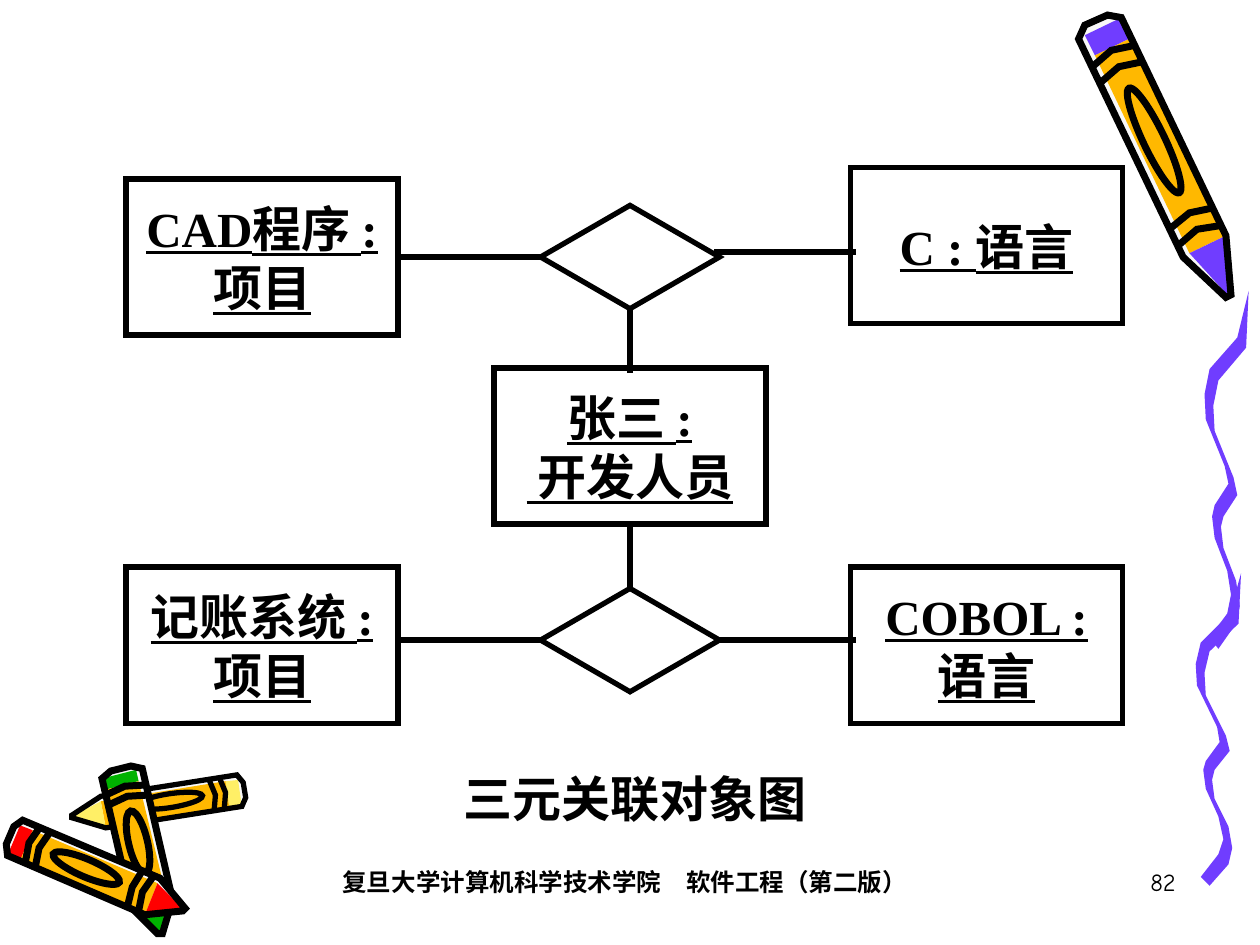
from dataclasses import dataclass
from math import atan2, cos, degrees, hypot, sin

from lxml import etree
from pptx import Presentation
from pptx.dml.color import RGBColor
from pptx.enum.shapes import MSO_CONNECTOR, MSO_SHAPE
from pptx.enum.text import MSO_ANCHOR, PP_ALIGN
from pptx.oxml.ns import qn
from pptx.util import Pt

RECT, OVAL = MSO_SHAPE.RECTANGLE, MSO_SHAPE.OVAL
DIAMOND = MSO_SHAPE.FLOWCHART_DECISION
STRAIGHT = MSO_CONNECTOR.STRAIGHT
CENTER, RIGHT_ALIGN = PP_ALIGN.CENTER, PP_ALIGN.RIGHT
ANCHOR_TOP, ANCHOR_MIDDLE = MSO_ANCHOR.TOP, MSO_ANCHOR.MIDDLE
EMU_PER_PX = 9144
BLANK = 6
TOP, LEFT, BOTTOM, RIGHT = range(4)


@dataclass(frozen=True)
class Theme:
    black: str = "000000"
    purple: str = "703DFF"
    orange: str = "FFB800"
    yellow: str = "FFEF66"
    red: str = "FF0000"
    green: str = "00B200"
    paper: str = "F8F8F8"
    body_font: str = "Times New Roman"
    footer_font: str = "Comic Neue"
    body_size: int = 28
    footer_size: int = 14
    line_width: int = 3


THEME = Theme()


@dataclass(frozen=True)
class Crayon:
    color: str
    end: tuple
    tip: tuple
    width: int
    lit_side: int
    pen: float

    def at(self, along, across):
        dx, dy = self.tip[0] - self.end[0], self.tip[1] - self.end[1]
        offset = across * self.width / 2 / hypot(dx, dy)
        return (round(self.end[0] + along * dx - offset * dy),
                round(self.end[1] + along * dy + offset * dx))

    def trace(self, points):
        return [self.at(*point) for point in points]


CRAYONS = [
    Crayon(THEME.yellow, (194, 627), (57, 648), 25, 1, 3),
    Crayon(THEME.green, (96, 610), (127, 741), 33, -1, 4),
    Crayon(THEME.red, (8, 663), (146, 722), 31, -1, 4),
    Crayon(THEME.purple, (870, 16), (975, 235), 38, 1, 4),
]
CAP_END, BODY_END = 0.1, 0.82
BANDS = [0.11, 0.17, 0.7, 0.76]
SILHOUETTE = [(0.03, -1), (0, -0.5), (0, 0.5), (0.03, 1), (BODY_END, 1), (1, 0.1), (1, -0.1), (BODY_END, -1)]

SQUIGGLE_EDGE = [
    (1, 0), (0.74, 0.13), (0.11, 0.22), (0, 0.29), (0.03, 0.36), (0.46, 0.49), (0.54, 0.54),
    (0.23, 0.6), (0.17, 0.63), (0.23, 0.69), (0.51, 0.78), (0.6, 0.85), (0.51, 0.9), (0.11, 0.97),
]
SQUIGGLE_THICKNESS = (0.2, 0.03)
SQUIGGLES = [(949, 455, 36, 248), (956, 231, 35, 284)]

OBJECT_SIZE = (216, 124)
OBJECTS = {
    "cad": (100, 142, "CAD程序 : 项目"),
    "c": (675, 133, "C : 语言"),
    "accounts": (100, 450, "记账系统 : 项目"),
    "cobol": (675, 450, "COBOL : 语言"),
    "developer": (392, 292, "张三 :\n 开发人员"),
}
ASSOCIATION_SIZE = (142, 82)
ASSOCIATIONS = {"upper": (429, 163), "lower": (429, 467)}
LINKS = [
    ((429, 508), (316, 508), ("lower", LEFT), None),
    ((500, 467), (500, 416), ("lower", TOP), ("developer", BOTTOM)),
    ((679, 508), (567, 508), None, None),
    ((429, 204), (316, 204), ("upper", LEFT), ("cad", RIGHT)),
    ((500, 296), (500, 246), None, None),
    ((679, 200), (567, 200), None, None),
]


def px(*values):
    return [round(v) * EMU_PER_PX for v in values]


def rgb(color):
    return RGBColor.from_string(color)


def paint(sp, fill=None, pen=None):
    sp.shadow.inherit = False
    if fill:
        sp.fill.solid()
        sp.fill.fore_color.rgb = rgb(fill)
    else:
        sp.fill.background()
    if pen:
        sp.line.color.rgb = rgb(THEME.black)
        sp.line.width = Pt(pen)
        etree.SubElement(sp.line._get_or_add_ln(), qn("a:miter"), lim="800000")
    else:
        sp.line.fill.background()


def add_outline(s, points, fill=None, pen=None, close=True):
    builder = s.shapes.build_freeform(*points[0], scale=EMU_PER_PX)
    builder.add_line_segments(points[1:], close=close)
    paint(builder.convert_to_shape(), fill, pen)


def add_crayon(s, crayon):
    lit, shade = crayon.lit_side * 0.7, -crayon.lit_side
    parts = [
        (crayon.color, [(0.03, shade), (0.03, lit), (CAP_END, lit), (CAP_END, shade)]),
        (THEME.orange, [(CAP_END, shade), (CAP_END, lit), (BODY_END, lit), (BODY_END, shade)]),
        (crayon.color, [(BODY_END, shade), (BODY_END, lit), (1, 0)]),
    ]
    add_outline(s, crayon.trace(SILHOUETTE), fill=THEME.paper)
    for color, points in parts:
        add_outline(s, crayon.trace(points), fill=color)
    add_outline(s, crayon.trace(SILHOUETTE), pen=crayon.pen)
    for along in BANDS:
        band = [(along + 0.02, -1), (along, 0), (along + 0.02, 1)]
        add_outline(s, crayon.trace(band), pen=crayon.pen, close=False)
    add_crayon_oval(s, crayon)


def add_crayon_oval(s, crayon):
    dx, dy = crayon.tip[0] - crayon.end[0], crayon.tip[1] - crayon.end[1]
    length, breadth = 0.38 * hypot(dx, dy), 0.45 * crayon.width
    x, y = crayon.at(0.44, 0)
    sp = s.shapes.add_shape(OVAL, *px(x - length / 2, y - breadth / 2, length, breadth))
    sp.rotation = degrees(atan2(dy, dx))
    paint(sp, pen=crayon.pen)


def add_squiggle(s, left, top, width, height):
    shift_x, shift_y = SQUIGGLE_THICKNESS
    far_edge = [(u + shift_x, v + shift_y) for u, v in SQUIGGLE_EDGE[1:]]
    ribbon = SQUIGGLE_EDGE + far_edge[::-1]
    add_outline(s, [(round(left + u * width), round(top + v * height)) for u, v in ribbon], fill=THEME.purple)


def set_text(sp, text, font, size, align=CENTER, anchor=ANCHOR_MIDDLE, bold=True, underline=False, wrap=True):
    tf = sp.text_frame
    tf.word_wrap = wrap
    tf.vertical_anchor = anchor
    tf.text = text
    for p in tf.paragraphs:
        p.alignment = align
        p._p.get_or_add_pPr().set("hangingPunct", "0")
        for r in p.runs:
            r.font.name = font
            r.font.size = Pt(size)
            r.font.bold = bold
            r.font.underline = underline
            r.font.color.rgb = rgb(THEME.black)


def add_node(s, kind, corner, size):
    sp = s.shapes.add_shape(kind, *px(*corner, *size))
    paint(sp, pen=THEME.line_width)
    return sp


def add_label(s, box, text, font, size, **style):
    set_text(s.shapes.add_textbox(*px(*box)), text, font, size, **style)


def add_link(s, nodes, start, end, source, target):
    line = s.shapes.add_connector(STRAIGHT, *px(*start, *end))
    line.line.color.rgb = rgb(THEME.black)
    line.line.width = Pt(THEME.line_width)
    etree.SubElement(line._element.spPr, qn("a:effectLst"))
    for join, place in ((line.begin_connect, source), (line.end_connect, target)):
        if place:
            name, side = place
            join(nodes[name], side)


def add_diagram(s):
    nodes = {}
    for name, (x, y, text) in OBJECTS.items():
        nodes[name] = add_node(s, RECT, (x, y), OBJECT_SIZE)
        set_text(nodes[name], text, THEME.body_font, THEME.body_size, underline=True)
    for name, corner in ASSOCIATIONS.items():
        nodes[name] = add_node(s, DIAMOND, corner, ASSOCIATION_SIZE)
    for link in LINKS:
        add_link(s, nodes, *link)
    add_label(s, (333, 608, 342, 50), "三元关联对象图", THEME.body_font, THEME.body_size, wrap=False)


def add_footer(s):
    add_label(s, (200, 683, 592, 50), "复旦大学计算机科学技术学院　软件工程（第二版）",
              THEME.footer_font, THEME.footer_size, anchor=ANCHOR_TOP)
    add_label(s, (735, 683, 208, 50), "82", THEME.footer_font, THEME.footer_size,
              align=RIGHT_ALIGN, anchor=ANCHOR_TOP, bold=False)


def main():
    prs = Presentation()
    prs.slide_width, prs.slide_height = px(1000, 750)
    s = prs.slides.add_slide(prs.slide_layouts[BLANK])
    for crayon in CRAYONS:
        add_crayon(s, crayon)
    for box in SQUIGGLES:
        add_squiggle(s, *box)
    add_diagram(s)
    add_footer(s)
    prs.save("out.pptx")


if __name__ == "__main__":
    main()
